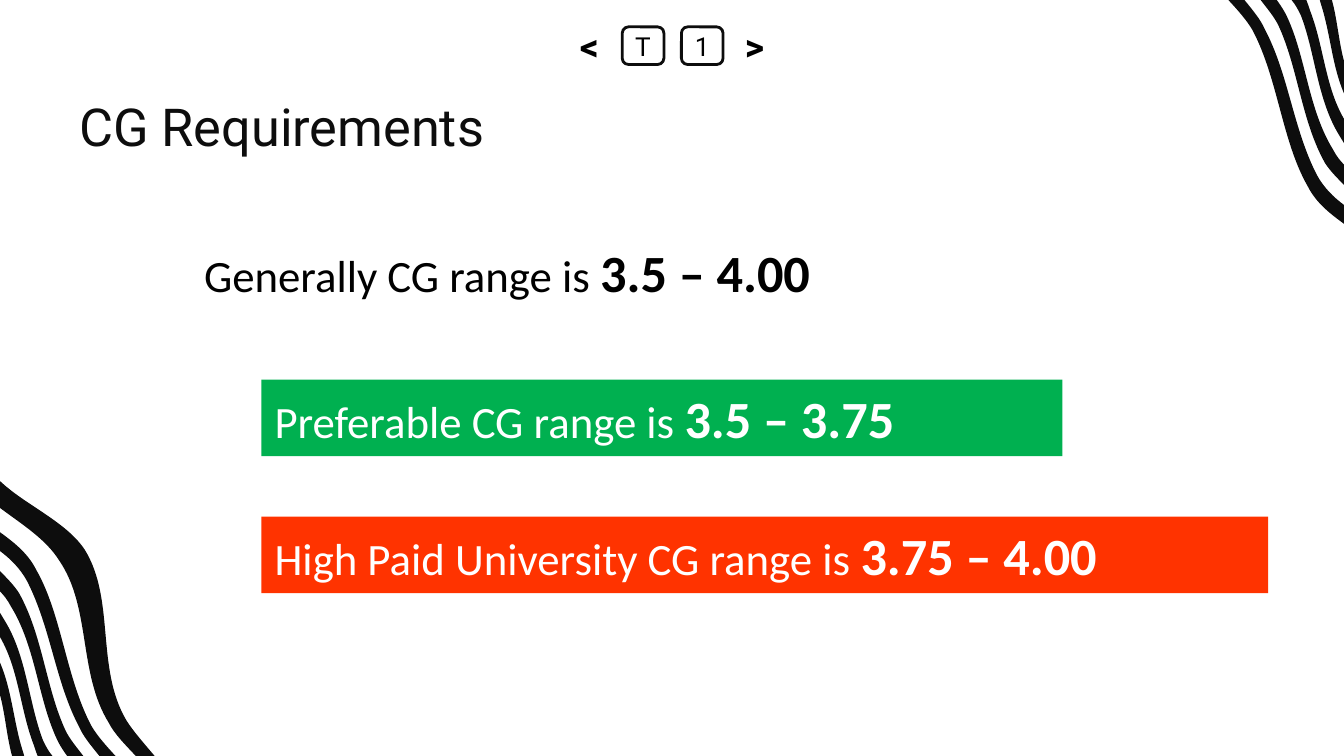
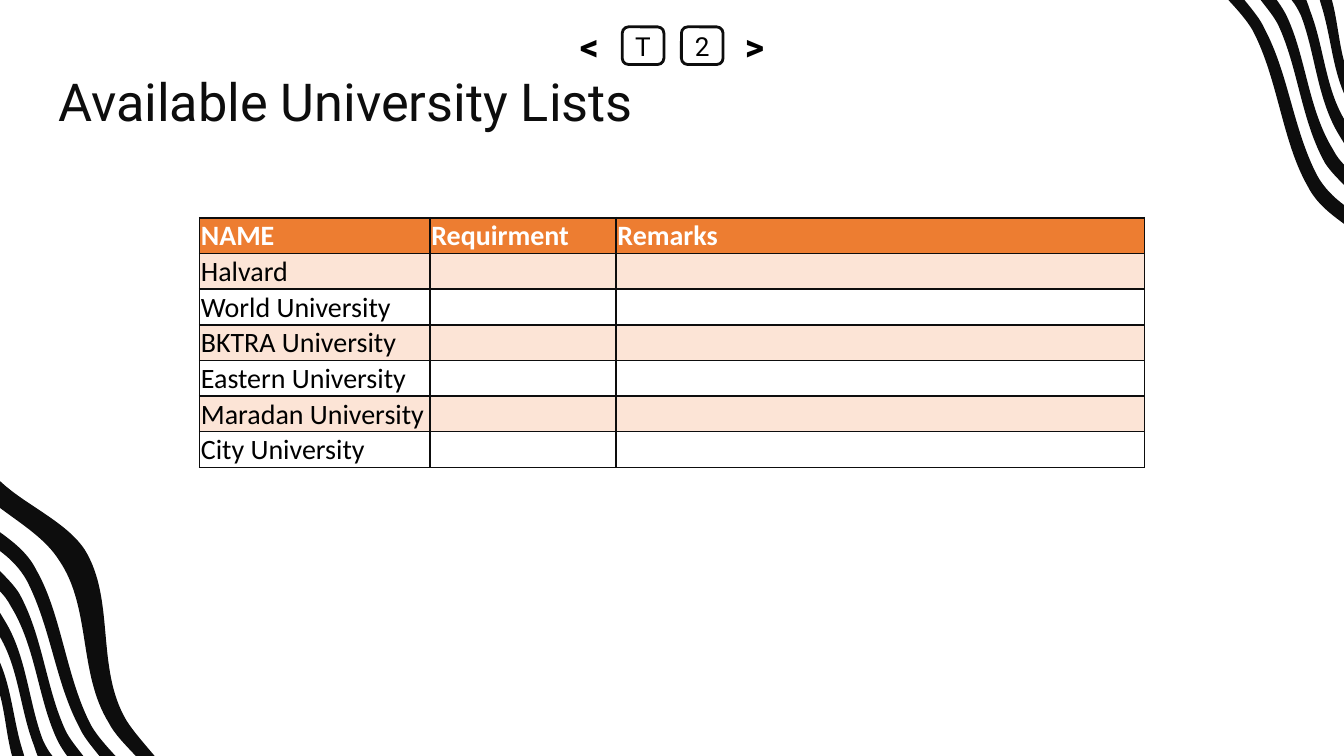
from itertools import chain

from lxml.etree import SubElement
from pptx import Presentation
from pptx.dml.color import RGBColor
from pptx.enum.shapes import MSO_SHAPE
from pptx.enum.text import MSO_ANCHOR, MSO_AUTO_SIZE, PP_ALIGN
from pptx.oxml.ns import qn
from pptx.util import Inches, Pt

MODULE = Inches(0.1)  # one grid column and one grid row
COLUMNS, ROWS = 100, 56.25

INK, BLACK, WHITE = "0D0D0D", "000000", "FFFFFF"
GREEN, RED = "00B050", "FF3300"
ORANGE, PEACH = "ED7D31", "FCE4D6"
HEADING_FONT, BODY_FONT = "Roboto", "Calibri"

# Each strand has two edges: down from the left side, then back up from the bottom.
# An edge is a start point followed by three points for each Bézier curve.
STRANDS = [
    ([(0, 37.8), (1.6, 39), (3.4, 40.1), (4.4, 41.7), (6.8, 45.2), (5.8, 50.1), (8.1, 53.8),
      (8.5, 54.6), (9.3, 55.4), (10.1, ROWS)],
     [(11.5, ROWS), (10.7, 55.3), (9.9, 54.4), (9.4, 53.6), (7.1, 49.7), (8.6, 44.6),
      (6.3, 40.9), (4.9, 38.8), (1.9, 37.6), (0, 35.8)]),
    ([(0, 41), (0.8, 41.6), (1.5, 42.3), (2, 43.2), (3.8, 46.7), (4.1, 50.7), (5.9, 54.1),
      (6.2, 54.8), (6.8, 55.5), (7.4, ROWS)],
     [(8.6, ROWS), (7.9, 55.5), (7.2, 54.7), (6.8, 54), (4.9, 50.4), (4.6, 45.7),
      (2.7, 42.4), (2.1, 41.2), (1.1, 40.4), (0, 39.6)]),
    ([(0, 44), (0.3, 44.3), (0.6, 44.7), (0.8, 45.1), (2.6, 48), (2.8, 51.7), (4.1, 54.7),
      (4.3, 55.2), (4.6, 55.7), (5, ROWS)],
     [(6.2, ROWS), (5.7, 55.6), (5.2, 55), (4.9, 54.4), (3.4, 51.2), (3.2, 47.3),
      (1.4, 44.1), (1, 43.5), (0.5, 43), (0, 42.5)]),
    ([(0, 47.4), (1.4, 49.8), (1.5, 52.8), (2.5, 55.4), (2.6, 55.7), (2.7, 56), (2.8, ROWS)],
     [(3.9, ROWS), (3.6, 55.9), (3.4, 55.5), (3.2, 55.1), (2.1, 52.2), (2, 48.8),
      (0.3, 46.1), (0.2, 45.9), (0.1, 45.8), (0, 45.6)]),
    ([(0, 51.7), (0.4, 53.2), (0.5, 54.8), (0.9, ROWS)],
     [(1.8, ROWS), (1.8, 56.1), (1.7, 56), (1.7, 55.9), (1, 53.7), (0.9, 51.4), (0, 49.3)]),
]

UNIVERSITIES = ["Halvard", "World University", "BKTRA University", "Eastern University",
                "Maradan University", "City University"]


def color(value):
    return RGBColor.from_string(value)


def grid(*values):
    """Turn columns or rows into lengths."""
    return [round(value * MODULE) for value in values]


def half_turn(points):
    return [(COLUMNS - x, ROWS - y) for x, y in points]


def bend(shape, down, up):
    """Turn each three straight segments along both edges into one Bézier curve."""
    outline = shape._element.find(".//" + qn("a:path"))
    lines = outline.findall(qn("a:lnTo"))
    middle = len(down)
    for start in chain(range(0, middle - 1, 3), range(middle, middle + len(up) - 1, 3)):
        curve, *others = lines[start:start + 3]
        curve.tag = qn("a:cubicBezTo")
        for line in others:
            curve.append(line[0])
            outline.remove(line)


def set_font(font, name, size, hex_color, bold=False):
    font.name, font.size, font.bold = name, Pt(size), bold
    font.color.rgb = color(hex_color)


class Deck:
    def __init__(self):
        self.presentation = Presentation()
        self.presentation.slide_width, self.presentation.slide_height = grid(COLUMNS, ROWS)
        self.layout = self.presentation.slide_layouts[5]
        self.slide = None

    def add_slide(self, number, title, left, top):
        first = self.slide is None
        self.slide = self.presentation.slides.add_slide(self.layout)
        if first:
            self.waves()
        self.navigation(number)
        self.title(title, left, top)

    def waves(self):
        """Draw the corner strands and move them to the layout that all slides share."""
        turned = [(half_turn(down), half_turn(up)) for down, up in STRANDS[1:]]
        for index, (down, up) in enumerate(STRANDS + turned):
            points = [tuple(grid(*point)) for point in down + up]
            builder = self.slide.shapes.build_freeform(*points[0])
            builder.add_line_segments(points[1:], close=True)
            strand = builder.convert_to_shape()
            bend(strand, down, up)
            self.paint(strand, INK)
            strand._element.nvSpPr.cNvPr.set("id", str(100 + index))
            self.layout.shapes._spTree.append(strand._element)

    def paint(self, shape, fill, line=None):
        shape.shadow.inherit = False
        shape.fill.solid()
        shape.fill.fore_color.rgb = color(fill)
        if line:
            shape.line.color.rgb = color(line)
            shape.line.width = Pt(1.5)
        else:
            shape.line.fill.background()

    def navigation(self, number):
        for left, label in ((50.7, str(number)), (46.3, "T")):
            self.key(left, label, 14, line=INK)
        for left, label in ((42.3, "<"), (54.6, ">")):
            self.key(left, label, 20, bold=True)

    def key(self, left, label, size, line=None, bold=False):
        key = self.slide.shapes.add_shape(MSO_SHAPE.ROUNDED_RECTANGLE, *grid(left, 2, 3.1, 2.8))
        self.paint(key, WHITE, line)
        frame = key.text_frame
        frame.margin_left = frame.margin_right = frame.margin_top = frame.margin_bottom = 0
        frame.vertical_anchor = MSO_ANCHOR.MIDDLE
        paragraph = frame.paragraphs[0]
        paragraph.text = label
        paragraph.alignment = PP_ALIGN.CENTER
        set_font(paragraph.font, HEADING_FONT, size, BLACK, bold)

    def title(self, text, left, top):
        title = self.slide.shapes.title
        title.left, title.top, title.width, title.height = grid(left, top, 80.9, 6.3)
        frame = title.text_frame
        frame.auto_size = MSO_AUTO_SIZE.NONE
        frame.vertical_anchor = MSO_ANCHOR.MIDDLE
        frame.margin_left = frame.margin_right = frame.margin_top = frame.margin_bottom = MODULE
        paragraph = frame.paragraphs[0]
        paragraph.text = text
        paragraph.alignment = PP_ALIGN.LEFT
        paragraph.line_spacing = 0.8
        set_font(paragraph.font, HEADING_FONT, 28, INK)

    def range_line(self, left, top, width, label, values, fill=None):
        """A sentence ending in a bold range, on a coloured bar if fill is given."""
        place = grid(left, top, width, 5.7)
        if fill:
            shape = self.slide.shapes.add_shape(MSO_SHAPE.RECTANGLE, *place)
            self.paint(shape, fill)
        else:
            shape = self.slide.shapes.add_textbox(*place)
        frame = shape.text_frame
        frame.word_wrap = True
        frame.auto_size = MSO_AUTO_SIZE.SHAPE_TO_FIT_TEXT
        frame.vertical_anchor = MSO_ANCHOR.TOP
        paragraph = frame.paragraphs[0]
        paragraph.alignment = PP_ALIGN.JUSTIFY
        set_font(paragraph.font, BODY_FONT, 24, WHITE if fill else BLACK)
        paragraph.add_run().text = label + " "
        value_run = paragraph.add_run()
        value_run.text = values
        value_run.font.size, value_run.font.bold = Pt(28), True

    def table(self, left, top, widths, row_height, rows):
        place = grid(left, top, sum(widths), row_height * len(rows))
        table = self.slide.shapes.add_table(len(rows), len(widths), *place).table
        table.first_row = table.horz_banding = False
        for column, width in zip(table.columns, grid(*widths)):
            column.width = width
        for row_index, texts in enumerate(rows):
            table.rows[row_index].height = grid(row_height)[0]
            fill = ORANGE if row_index == 0 else PEACH if row_index % 2 else None
            for column_index, text in enumerate(texts):
                self.cell(table.cell(row_index, column_index), text, fill, row_index == 0)

    def cell(self, cell, text, fill, header):
        cell.margin_left = cell.margin_right = cell.margin_top = Inches(0.01)
        cell.margin_bottom = 0
        cell.vertical_anchor = MSO_ANCHOR.BOTTOM if header else MSO_ANCHOR.MIDDLE
        properties = cell._tc.get_or_add_tcPr()
        for side in ("lnL", "lnR", "lnT", "lnB"):
            border = SubElement(properties, qn(f"a:{side}"), w=str(Pt(1)))
            SubElement(SubElement(border, qn("a:solidFill")), qn("a:srgbClr"), val=INK)
        if fill:
            cell.fill.solid()
            cell.fill.fore_color.rgb = color(fill)
        else:
            cell.fill.background()
        paragraph = cell.text_frame.paragraphs[0]
        if text:
            paragraph.text = text
        set_font(paragraph.font, BODY_FONT, 15, WHITE if header else BLACK, header)


def main():
    deck = Deck()

    deck.add_slide(1, "CG Requirements", 4.9, 6.6)
    deck.range_line(14.2, 17.4, 80.9, "Generally CG range is", "3.5 – 4.00")
    deck.range_line(19.45, 28.25, 59.6, "Preferable CG range is", "3.5 – 3.75", GREEN)
    deck.range_line(19.45, 38.45, 74.9, "High Paid University CG range is", "3.75 – 4.00", RED)

    deck.add_slide(2, "Available University Lists", 3.35, 4.8)
    rows = [("NAME", "Requirment", "Remarks")] + [(name, "", "") for name in UNIVERSITIES]
    deck.table(14.85, 16.2, (17.15, 13.85, 39.3), 1.9, rows)

    deck.presentation.save("out.pptx")


if __name__ == "__main__":
    main()
